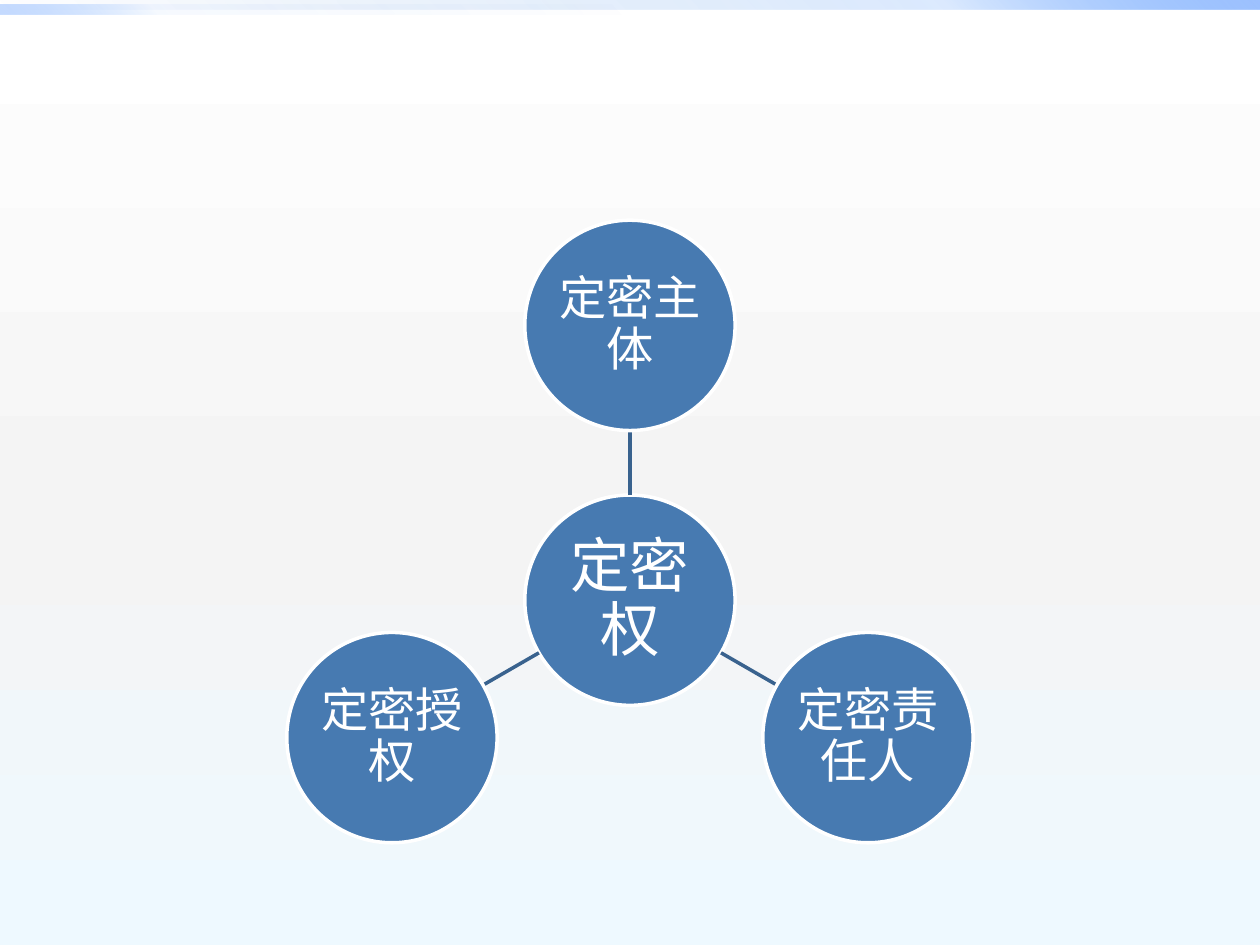
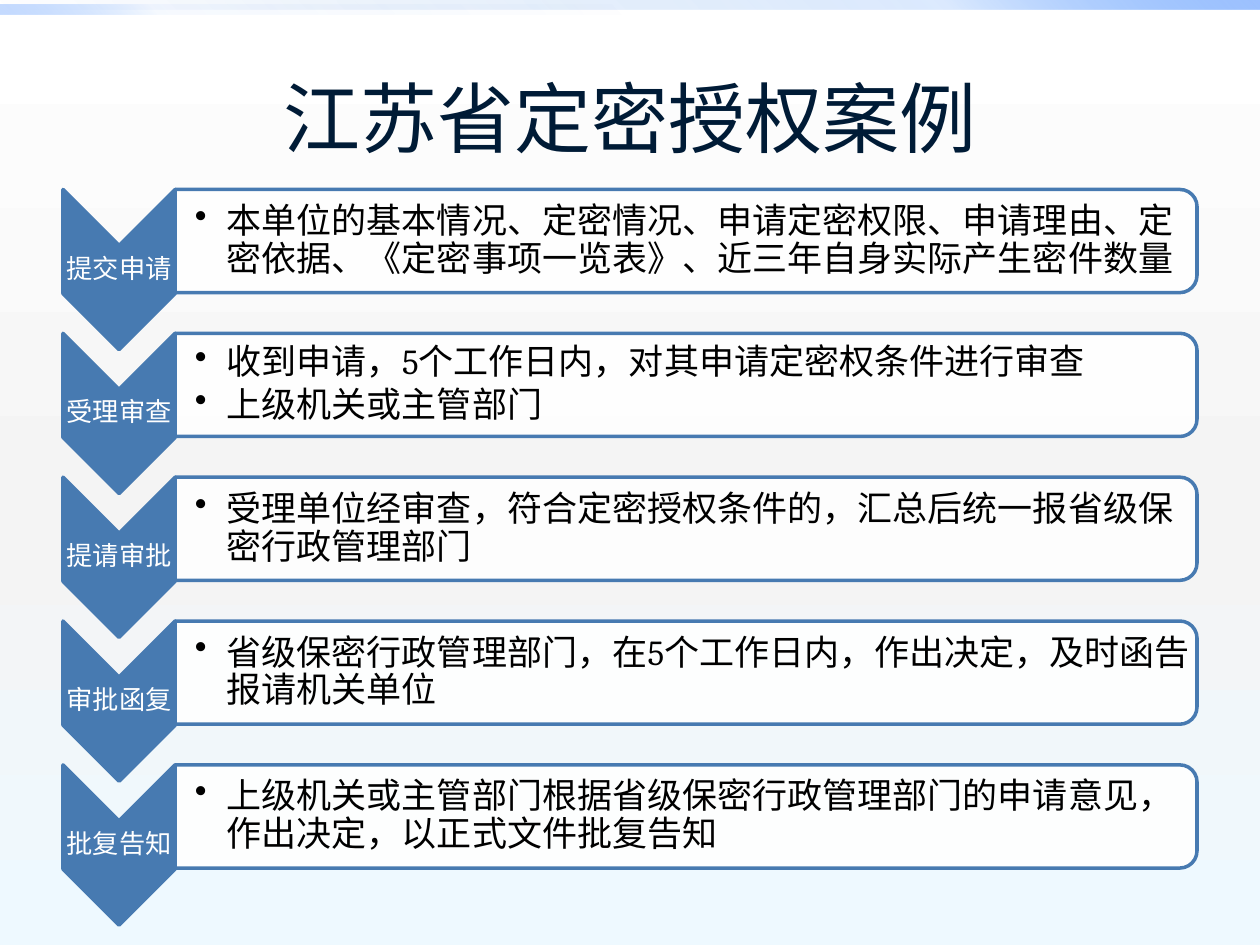
import math
from dataclasses import dataclass

from lxml import etree
from pptx import Presentation
from pptx import util as u
from pptx.dml.color import RGBColor
from pptx.enum import shapes, text
from pptx.oxml.ns import qn


@dataclass(frozen=True)
class Theme:
    blue: str = "477AB1"
    spoke: str = "39628E"
    navy: str = "001B36"
    white: str = "FFFFFF"
    black: str = "000000"
    body_font: str = "Cambria"
    title_font: str = "Roboto"
    title_size: int = 44
    hub_size: int = 34
    satellite_size: int = 27
    detail_size: int = 20
    step_size: int = 15
    line_width: int = 2
    background: tuple = ((0, "FFFFFF", 100), (55, "F4F4F4", 100), (100, "EEF9FF", 100))
    wide_band: tuple = ((0, "0058B7", 0), (75, "4F95FF", 20), (100, "9EC2FF", 100))
    short_band: tuple = ((0, "0058B7", 0), (75, "4F95FF", 5), (100, "9EC2FF", 60))


THEME = Theme()

BANDS = [
    ((0, 0, 25.4, 0.2), THEME.wide_band, 315),
    ((0, 0.1, 12.7, 0.2), THEME.short_band, 135),
]
HUB = "定密权"
SATELLITES = [("定密主体", -90), ("定密责任人", 30), ("定密授权", 150)]
CASE_TITLE = "江苏省定密授权案例"
STEPS = [
    ("提交申请", ["本单位的基本情况、定密情况、申请定密权限、申请理由、定密依据、《定密事项一览表》、近三年自身实际产生密件数量"]),
    ("受理审查", ["收到申请，5个工作日内，对其申请定密权条件进行审查", "上级机关或主管部门"]),
    ("提请审批", ["受理单位经审查，符合定密授权条件的，汇总后统一报省级保密行政管理部门"]),
    ("审批函复", ["省级保密行政管理部门，在5个工作日内，作出决定，及时函告报请机关单位"]),
    ("批复告知", ["上级机关或主管部门根据省级保密行政管理部门的申请意见，作出决定，以正式文件批复告知"]),
]

HUB_X, HUB_Y = 12.7, 12.1
DIAMETER, ORBIT = 4.24, 5.54
FIRST_STEP_Y, STEP_PITCH = 3.82, 2.9
CHEVRON_LENGTH, CHEVRON_WIDTH = 3.23, 2.26
PANEL_LENGTH, PANEL_HEIGHT = 20.6, 2.08
STEP_LEFT = 1.27
PANEL_LEFT = STEP_LEFT + CHEVRON_WIDTH


def lengths(*values):
    return [u.Cm(value) for value in values]


def set_opacity(color_element, percent):
    etree.SubElement(color_element, qn("a:alpha"), val=str(percent * 1000))


def set_gradient(fill, stops, angle):
    fill.gradient()
    gradient = fill._xPr.find(qn("a:gradFill"))
    stop_list = gradient.find(qn("a:gsLst"))
    stop_list.clear()
    for position, color, opacity in stops:
        stop = etree.SubElement(stop_list, qn("a:gs"), pos=str(position * 1000))
        color_element = etree.SubElement(stop, qn("a:srgbClr"), val=color)
        if opacity < 100:
            set_opacity(color_element, opacity)
    gradient.find(qn("a:lin")).set("ang", str(angle * 60000))


def format_runs(paragraph, size, color, font=THEME.body_font):
    for run in paragraph.runs:
        run.font.size = u.Pt(size)
        run.font.name = font
        run.font.color.rgb = RGBColor.from_string(color)


def prepare_frame(shape, inset, left_inset=None):
    frame = shape.text_frame
    frame.word_wrap = True
    frame.vertical_anchor = text.MSO_ANCHOR.MIDDLE
    frame.margin_left = u.Cm(inset if left_inset is None else left_inset)
    frame.margin_right = frame.margin_top = frame.margin_bottom = u.Cm(inset)
    return frame


def write_label(shape, label, size, inset):
    frame = prepare_frame(shape, inset)
    frame.text = label
    paragraph = frame.paragraphs[0]
    paragraph.alignment = text.PP_ALIGN.CENTER
    paragraph.line_spacing = 0.9
    format_runs(paragraph, size, THEME.white)


def write_bullets(shape, lines):
    frame = prepare_frame(shape, 0.03, 0.4)
    frame.text = "\n".join(lines)
    for paragraph in frame.paragraphs:
        properties = paragraph._p.get_or_add_pPr()
        properties.set("marL", str(u.Cm(0.64)))
        properties.set("indent", str(u.Cm(-0.64)))
        etree.SubElement(properties, qn("a:buChar"), char="•")
        paragraph.level = 1
        paragraph.alignment = text.PP_ALIGN.LEFT
        paragraph.line_spacing = 0.9
        paragraph.space_after = u.Pt(3)
        format_runs(paragraph, THEME.detail_size, THEME.black)


def add_centered_shape(slide, kind, center_x, center_y, width, height, fill, line):
    shape = slide.shapes.add_shape(
        kind, *lengths(center_x - width / 2, center_y - height / 2, width, height))
    shape.shadow.inherit = False
    shape.fill.solid()
    shape.fill.fore_color.rgb = RGBColor.from_string(fill)
    shape.line.color.rgb = RGBColor.from_string(line)
    shape.line.width = u.Pt(THEME.line_width)
    return shape


def decorate_master(master, slide):
    set_gradient(master.background.fill, THEME.background, 90)
    for index, (box, stops, angle) in enumerate(BANDS):
        band = slide.shapes.add_shape(shapes.MSO_SHAPE.RECTANGLE, *lengths(*box))
        band.shadow.inherit = False
        band.line.fill.background()
        set_gradient(band.fill, stops, angle)
        master.shapes._spTree.insert(2 + index, band._element)


def add_circle(slide, label, center_x, center_y, size):
    circle = add_centered_shape(
        slide, shapes.MSO_SHAPE.OVAL, center_x, center_y, DIAMETER, DIAMETER,
        THEME.blue, THEME.white)
    write_label(circle, label, size, 0.05)


def add_spoke(slide, angle):
    ends = []
    for distance in (DIAMETER / 2, ORBIT - DIAMETER / 2):
        ends += [HUB_X + distance * math.cos(angle), HUB_Y + distance * math.sin(angle)]
    spoke = slide.shapes.add_connector(shapes.MSO_CONNECTOR.STRAIGHT, *lengths(*ends))
    spoke.line.color.rgb = RGBColor.from_string(THEME.spoke)
    spoke.line.width = u.Pt(THEME.line_width)
    etree.SubElement(spoke._element.spPr, qn("a:effectLst"))


def build_authority_slide(slide):
    add_circle(slide, HUB, HUB_X, HUB_Y, THEME.hub_size)
    for label, degrees in SATELLITES:
        angle = math.radians(degrees)
        add_spoke(slide, angle)
        add_circle(slide, label, HUB_X + ORBIT * math.cos(angle),
                   HUB_Y + ORBIT * math.sin(angle), THEME.satellite_size)


def add_title(slide, title):
    shape = slide.shapes.title
    shape.left, shape.top, shape.width, shape.height = lengths(1.27, 0.76, 22.86, 3.18)
    frame = shape.text_frame
    frame.text = title
    frame.vertical_anchor = text.MSO_ANCHOR.MIDDLE
    frame.paragraphs[0].alignment = text.PP_ALIGN.CENTER
    format_runs(frame.paragraphs[0], THEME.title_size, THEME.navy, THEME.title_font)


def add_step(slide, top, label, details):
    chevron_y = top + CHEVRON_LENGTH / 2
    chevron = add_centered_shape(
        slide, shapes.MSO_SHAPE.CHEVRON, STEP_LEFT + CHEVRON_WIDTH / 2, chevron_y,
        CHEVRON_LENGTH, CHEVRON_WIDTH, THEME.blue, THEME.blue)
    chevron.rotation = 90
    label_box = slide.shapes.add_textbox(
        *lengths(STEP_LEFT, chevron_y - 0.48, CHEVRON_WIDTH, 0.96))
    write_label(label_box, label, THEME.step_size, 0.03)

    panel = add_centered_shape(
        slide, shapes.MSO_SHAPE.ROUND_2_SAME_RECTANGLE, PANEL_LEFT + PANEL_LENGTH / 2,
        top + PANEL_HEIGHT / 2, PANEL_HEIGHT, PANEL_LENGTH, THEME.white, THEME.blue)
    panel.rotation = 90
    set_opacity(panel._element.spPr.find(qn("a:solidFill"))[0], 90)
    detail_box = slide.shapes.add_textbox(
        *lengths(PANEL_LEFT, top + 0.1, PANEL_LENGTH - 0.1, PANEL_HEIGHT - 0.2))
    write_bullets(detail_box, details)


def build_case_slide(slide):
    add_title(slide, CASE_TITLE)
    for index, (label, details) in enumerate(STEPS):
        add_step(slide, FIRST_STEP_Y + index * STEP_PITCH, label, details)


def main():
    presentation = Presentation()
    presentation.slide_width, presentation.slide_height = lengths(25.4, 19.05)
    layouts = presentation.slide_layouts
    authority_slide = presentation.slides.add_slide(layouts.get_by_name("Blank"))
    case_slide = presentation.slides.add_slide(layouts.get_by_name("Title Only"))
    decorate_master(presentation.slide_master, authority_slide)
    build_authority_slide(authority_slide)
    build_case_slide(case_slide)
    presentation.save("out.pptx")


if __name__ == "__main__":
    main()
